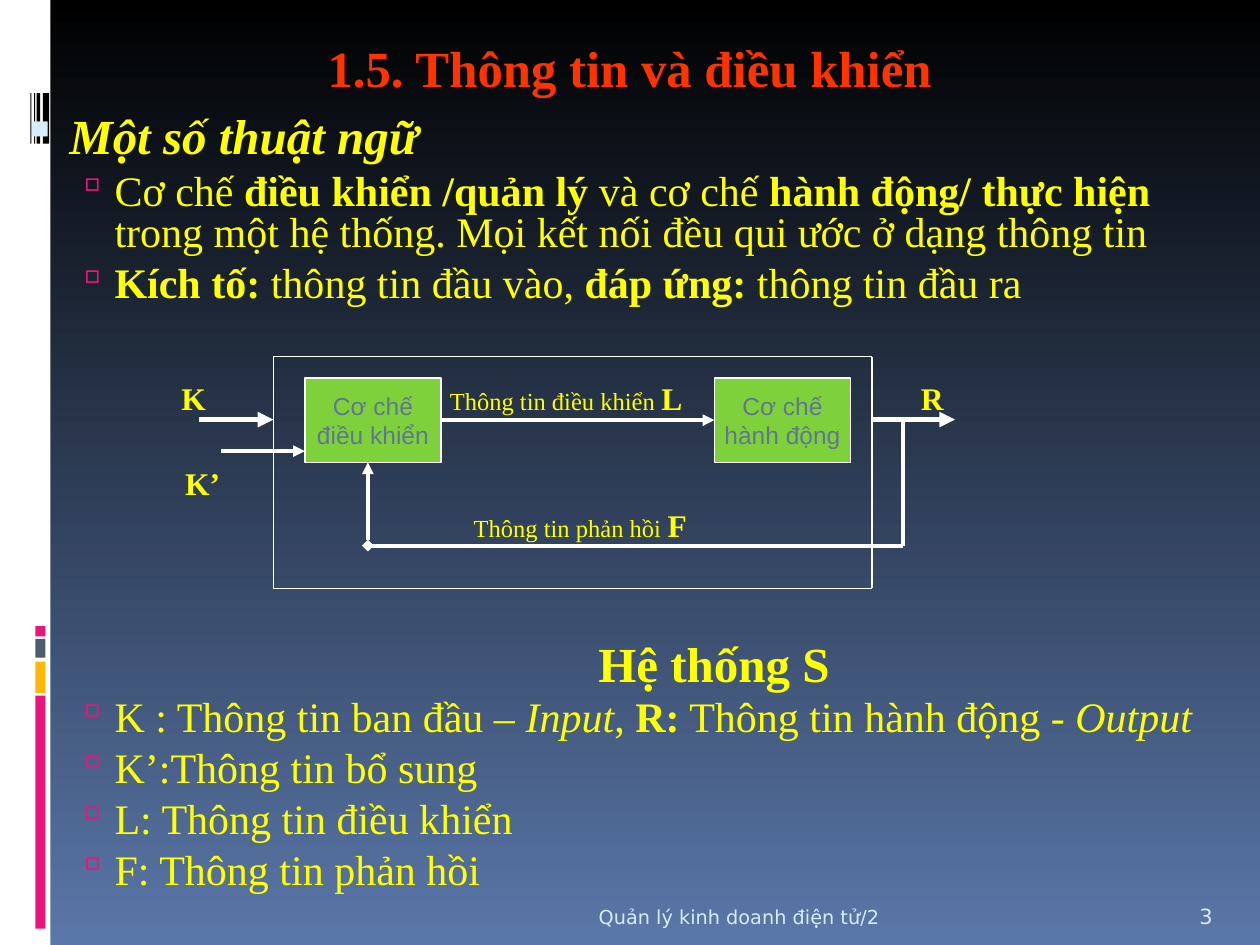
from lxml import etree
from pptx import Presentation
from pptx.dml.color import RGBColor
from pptx.enum.shapes import MSO_CONNECTOR, MSO_SHAPE
from pptx.enum.text import MSO_ANCHOR as Anchor, PP_ALIGN as Align
from pptx.oxml.ns import qn
from pptx.util import Inches, Pt

WHITE = RGBColor(0xFF, 0xFF, 0xFF)
BLACK = RGBColor(0, 0, 0)
NAVY = RGBColor(0x5A, 0x77, 0xA9)
PINK = RGBColor(0xEA, 0x15, 0x7A)
AMBER = RGBColor(0xFE, 0xB8, 0x0A)
SLATE = RGBColor(0x4E, 0x5B, 0x6F)
GREEN = RGBColor(0x7F, 0xD1, 0x3B)
STEEL = RGBColor(0x5F, 0x77, 0x91)
YELLOW = RGBColor(0xFF, 0xFF, 0x00)
RED = RGBColor(0xFF, 0x33, 0x00)
PALE = RGBColor(0xD6, 0xEC, 0xFF)

SQUARE = dict(char="▪", color=PALE, percent=95, margin=0.45, indent=-0.37)
HOLLOW = dict(char="▫", color=PINK, percent=90, margin=0.81, indent=-0.31)


def add_child(parent, tag, **attributes):
    child = etree.SubElement(parent, qn(tag))
    for name, value in attributes.items():
        child.set(name, str(value))
    return child


def set_bullet(para, char, color, percent, margin, indent):
    props = para._p.get_or_add_pPr()
    props.set("marL", str(Inches(margin)))
    props.set("indent", str(Inches(indent)))
    add_child(add_child(props, "a:buClr"), "a:srgbClr", val=color)
    add_child(props, "a:buSzPct", val=percent * 1000)
    add_child(props, "a:buChar", char=char)


def write(para, text, size=24, font="Times New Roman", color=YELLOW,
          bold=False, italic=False):
    span = para.add_run()
    span.text = text
    span.font.size = Pt(size)
    span.font.name = font
    span.font.color.rgb = color
    span.font.bold = bold
    span.font.italic = italic


class SlideBuilder:
    def __init__(self, page, line_color=WHITE):
        self.page = page
        self.line_color = line_color

    def background(self, top, bottom):
        fill = self.page.background.fill
        fill.gradient()
        fill.gradient_angle = 270
        for stop, color in zip(fill.gradient_stops, (top, bottom)):
            stop.color.rgb = color

    def block(self, left, top, width, height, color):
        block = self.page.shapes.add_shape(
            MSO_SHAPE.RECTANGLE, Inches(left), Inches(top), Inches(width), Inches(height))
        block.shadow.inherit = False
        block.fill.solid()
        block.fill.fore_color.rgb = color
        block.line.fill.background()
        return block

    def mechanism(self, left, lines):
        """Green box with one centred paragraph per line."""
        box = self.block(left, 3, 1.08, 0.67, GREEN)
        box.line.color.rgb = self.line_color
        box.line.width = Pt(0.75)
        frame = box.text_frame
        frame.word_wrap = False
        frame.vertical_anchor = Anchor.MIDDLE
        for index, line in enumerate(lines):
            para = frame.add_paragraph() if index else frame.paragraphs[0]
            para.alignment = Align.CENTER
            write(para, line, size=14, font="Arial", color=STEEL)
        return box

    def text(self, left, top, width, height, paragraphs, align=Align.LEFT,
             anchor=Anchor.TOP, spacing=1.0):
        """Each paragraph is (bullet or None, [(text, format), ...])."""
        box = self.page.shapes.add_textbox(
            Inches(left), Inches(top), Inches(width), Inches(height))
        frame = box.text_frame
        frame.word_wrap = True
        frame.vertical_anchor = anchor
        frame.margin_left = frame.margin_right = 0
        frame.margin_top = frame.margin_bottom = 0
        for index, (bullet, spans) in enumerate(paragraphs):
            para = frame.add_paragraph() if index else frame.paragraphs[0]
            para.alignment = align
            para.line_spacing = spacing
            if index:
                para.space_before = Pt(6)
            if bullet:
                set_bullet(para, **bullet)
            for content, style in spans:
                write(para, content, **style)

    def line(self, start, end, width=2.25, head=None, tail=None):
        line = self.page.shapes.add_connector(
            MSO_CONNECTOR.STRAIGHT, *(Inches(value) for value in start + end))
        line.line.color.rgb = self.line_color
        line.line.width = Pt(width)
        outline = line.line._get_or_add_ln()
        for tag, kind in (("a:headEnd", head), ("a:tailEnd", tail)):
            if kind:
                add_child(outline, tag, type=kind)
        add_child(line._element.spPr, "a:effectLst")
        return line


def main():
    deck = Presentation()
    deck.slide_width, deck.slide_height = Inches(10), Inches(7.5)
    builder = SlideBuilder(deck.slides.add_slide(deck.slide_layouts[6]))
    builder.background(BLACK, NAVY)

    builder.block(0, 0, 0.4, 7.5, WHITE)
    for top, height, color in ((5.52, 1.85, PINK), (5.25, 0.25, AMBER),
                               (5.07, 0.15, SLATE), (4.97, 0.08, PINK)):
        builder.block(0.28, top, 0.08, height, color)
    for left, width in ((0.34, 0.05), (0.29, 0.03), (0.27, 0.01), (0.24, 0.01)):
        builder.block(left, 0.74, width, 0.4, BLACK)

    plain, bold, italic = {}, dict(bold=True), dict(italic=True)
    heading = dict(size=28, bold=True)
    builder.text(0.5, 0.29, 9, 0.46, [
        (None, [("1.5. Thông tin và điều khiển", dict(size=29, color=RED, bold=True))]),
    ], align=Align.CENTER)
    builder.text(0.1, 0.93, 9.6, 1.5, [
        (SQUARE, [("Một số thuật ngữ", dict(heading, italic=True))]),
        (HOLLOW, [("Cơ chế ", plain), ("điều khiển /quản lý", bold),
                  (" và cơ chế ", plain), ("hành động/ thực hiện", bold),
                  (" trong một hệ thống. Mọi kết nối đều qui ước ở dạng thông tin", plain)]),
        (HOLLOW, [("Kích tố:", bold), (" thông tin đầu vào, ", plain),
                  ("đáp ứng:", bold), (" thông tin đầu ra", plain)]),
    ], spacing=0.8)
    builder.text(4.75, 5.12, 2.5, 0.4, [(None, [("Hệ thống S", heading)])], spacing=0.8)
    builder.text(0.1, 5.56, 9.6, 1.5, [
        (HOLLOW, [("K : Thông tin ban đầu –", plain), (" Input", italic), (", ", plain),
                  ("R:", bold), (" Thông tin hành động", plain), (" - Output", italic)]),
        (HOLLOW, [("K’:Thông tin bổ sung", plain)]),
        (HOLLOW, [("L: Thông tin điều khiển", plain)]),
        (HOLLOW, [("F: Thông tin phản hồi", plain)]),
    ], spacing=0.8)

    small, symbol = dict(size=14), dict(size=18, bold=True)
    for left, top, width, spans in (
            (1.44, 3.01, 0.4, [("K", symbol)]),
            (3.57, 3.01, 2.05, [("Thông tin điều khiển ", small), ("L", symbol)]),
            (7.31, 3.01, 0.4, [("R", symbol)]),
            (1.47, 3.68, 0.4, [("K’", symbol)]),
            (3.76, 4.02, 2.05, [("Thông tin phản hồi ", small), ("F", symbol)])):
        builder.text(left, top, width, 0.3, [(None, spans)])

    footer = dict(font="DejaVu Sans", color=PALE)
    builder.text(1.1, 7.07, 5.88, 0.3, [
        (None, [("Quản lý kinh doanh điện tử/2", dict(footer, size=11))]),
    ], align=Align.RIGHT, anchor=Anchor.BOTTOM)
    builder.text(9.52, 7.07, 0.3, 0.3, [(None, [("3", dict(footer, size=12))])],
                 anchor=Anchor.BOTTOM)

    control = builder.mechanism(2.42, ("Cơ chế", "điều khiển"))
    action = builder.mechanism(5.67, ("Cơ chế", "hành động"))
    command = builder.line((3.5, 3.33), (5.67, 3.33), tail="triangle")
    command.begin_connect(control, 3)
    command.end_connect(action, 1)
    builder.line((1.58, 3.33), (2.17, 3.33), width=3, tail="triangle")
    builder.line((6.92, 3.33), (7.58, 3.33), width=3, tail="triangle")

    left, right, top, bottom = 2.17, 6.92, 2.83, 4.67
    for x in (left, right):
        builder.line((x, top), (x, bottom), width=0.75)
    for y in (top, bottom):
        builder.line((left, y), (right, y), width=0.75)

    builder.line((7.17, 3.33), (7.17, 4.33))
    builder.line((2.92, 4.33), (7.17, 4.33))
    builder.line((2.92, 4.33), (2.92, 3.67), head="diamond", tail="triangle")
    builder.line((1.75, 3.58), (2.42, 3.58), tail="triangle")
    deck.save("out.pptx")


if __name__ == "__main__":
    main()
